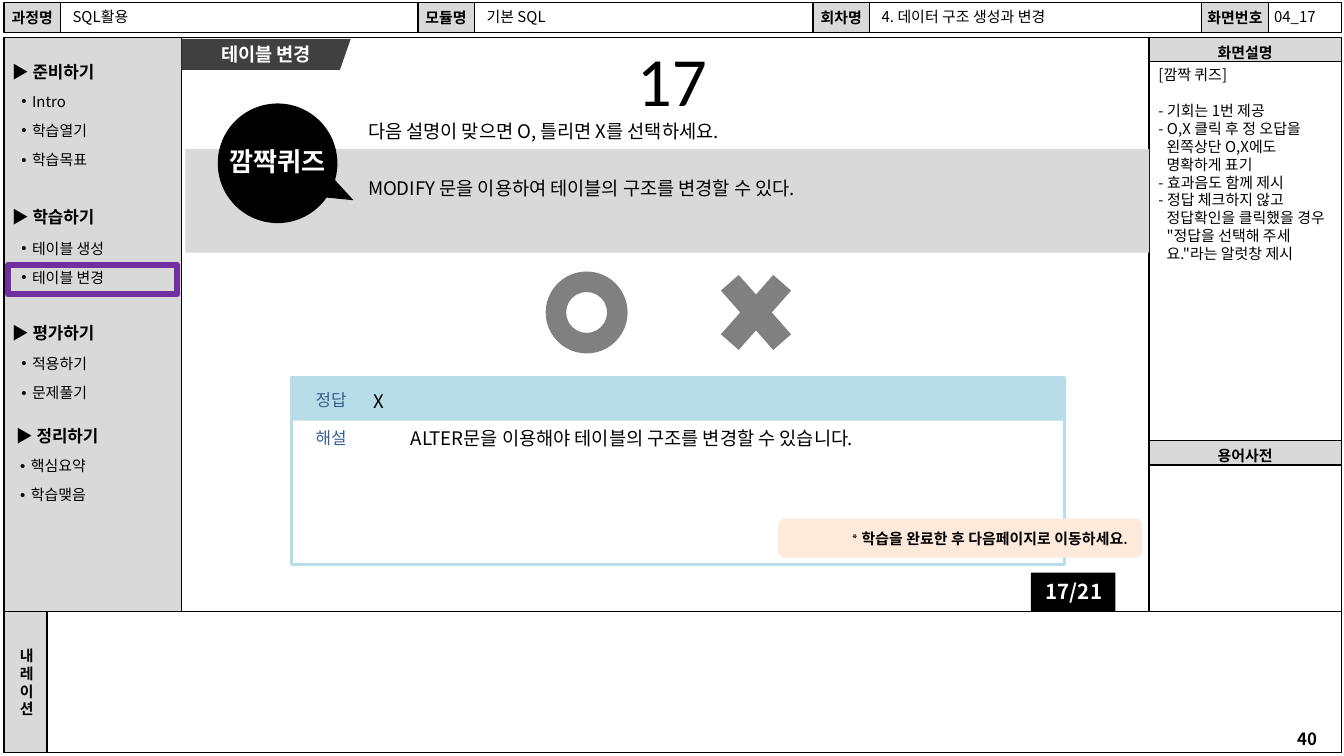
from pptx import Presentation
from pptx.dml.color import RGBColor
from pptx.enum.shapes import MSO_SHAPE as Kind
from pptx.enum.text import MSO_ANCHOR as Anchor, PP_ALIGN as Align
from pptx.oxml.ns import qn
from pptx.util import Inches, Pt
from lxml.etree import SubElement

# A 16:9 slide on a square grid, 100 columns wide
WIDTH = Inches(10)
HEIGHT = WIDTH * 9 // 16
UNIT = WIDTH / 100
FONT = "Noto Sans CJK KR"
BLACK, WHITE, GREY, DARK = "000000", "FFFFFF", "D9D9D9", "404040"
MID, CYAN, BLUE, PURPLE, PEACH = "808080", "B7DEE8", "376092", "7030A0", "FDEADA"
ALIGNS = {"left": Align.LEFT, "center": Align.CENTER, "right": Align.RIGHT}


def color(value):
    return RGBColor.from_string(value)


def inside(box, left, top, width, height):
    """Area of the grid, counted from the top left corner of a box."""
    return box[0] + left, box[1] + top, width, height


def to_emu(area):
    return [round(number * UNIT) for number in area]


def paint(shape, fill, line, weight):
    shape.shadow.inherit = False
    if fill:
        shape.fill.solid()
        shape.fill.fore_color.rgb = color(fill)
    else:
        shape.fill.background()
    if line:
        shape.line.color.rgb = color(line)
        shape.line.width = Pt(weight)
    else:
        shape.line.fill.background()
    return shape


def draw(page, area, fill=None, line=None, weight=0.75, kind=Kind.RECTANGLE):
    return paint(page.shapes.add_shape(kind, *to_emu(area)), fill, line, weight)


def outline(page, points, fill):
    corners = [to_emu(point) for point in points]
    builder = page.shapes.build_freeform(*corners[0])
    builder.add_line_segments(corners[1:], close=True)
    return paint(builder.convert_to_shape(), fill, None, 0)


def set_indent(para, indent, hang, bullet):
    props = para._p.get_or_add_pPr()
    props.set("marL", str(round(indent * UNIT)))
    props.set("indent", str(round(-hang * UNIT)))
    if bullet:
        SubElement(props, qn("a:buFont")).set("typeface", "Arial")
        SubElement(props, qn("a:buChar")).set("char", bullet)


def write(page, place, lines, size=8, bold=False, ink=BLACK, font=FONT, align="left",
          anchor=Anchor.TOP, insets=(1, 0.5, 1, 0.5), wrap=True, bullet=None,
          indent=0, hang=0, gap=0, spacing=None):
    """Write lines into a shape, or into a new text box when given an area.

    A line is a text, or a text with its own indent, hang and gap.
    """
    if isinstance(place, tuple):
        place = page.shapes.add_textbox(*to_emu(place))
    frame = place.text_frame
    frame.word_wrap, frame.vertical_anchor = wrap, anchor
    (frame.margin_left, frame.margin_top,
     frame.margin_right, frame.margin_bottom) = to_emu(insets)
    for number, line in enumerate([lines] if isinstance(lines, str) else lines):
        text, own = line if isinstance(line, tuple) else (line, {})
        para = frame.paragraphs[0] if number == 0 else frame.add_paragraph()
        para.alignment = ALIGNS[align]
        if spacing:
            para.line_spacing = spacing
        if number:
            para.space_before = Pt(own.get("gap", gap))
        if own.get("indent", indent):
            set_indent(para, own.get("indent", indent), own.get("hang", hang), bullet)
        span = para.add_run()
        span.text = text
        span.font.name, span.font.size, span.font.bold = font, Pt(size), bold
        span.font.color.rgb = color(ink)
        SubElement(span._r.get_or_add_rPr(), qn("a:ea")).set("typeface", FONT)


def label(page, area, lines, **style):
    write(page, draw(page, area, GREY, BLACK), lines, bold=True, align="center",
          anchor=Anchor.MIDDLE, wrap=False, **style)


def header(page, box):
    names = ["과정명", "모듈명", "회차명", "화면번호"]
    values = ["SQL활용", "기본 SQL", "4. 데이터 구조 생성과 변경", "04_17"]
    starts, middles = [0, 30.8, 60.2, 89.1], [4.2, 35, 64.4, 94.1]
    ends = starts[1:] + [box[2]]
    for name, value, start, middle, end in zip(names, values, starts, middles, ends):
        label(page, inside(box, start, 0, middle - start, box[3]), name)
        cell = draw(page, inside(box, middle, 0, end - middle, box[3]), WHITE, BLACK)
        pad = 0.4 if value == values[-1] else 0.9
        write(page, cell, value, anchor=Anchor.MIDDLE, wrap=False,
              insets=(pad, 0, 0, 0.1))


def sidebar(page, box):
    draw(page, box, GREY, BLACK)
    # Heading, its place, and the items below it with theirs
    menu = [
        ("▶ 준비하기", -0.4, 1.3, ["Intro", "학습열기", "학습목표"], 4.1),
        ("▶ 학습하기", -0.4, 12.1, ["테이블 생성", "테이블 변경"], 15),
        ("▶ 평가하기", -0.4, 20.7, ["적용하기", "문제풀기"], 23.6),
        ("▶ 정리하기", -0.1, 28.4, ["핵심요약", "학습맺음"], 31.2),
    ]
    for heading, left, top, items, below in menu:
        write(page, inside(box, left, top, 11.5, 2.5), heading, size=9, bold=True)
        pad = 1 if left < -0.2 else 0.9
        write(page, inside(box, 0.3, below, 12.9, 2.1 * len(items)), items,
              insets=(pad, 0, 0, 0), bullet="•", indent=0.8, hang=0.8, gap=6)
    # Current lesson
    draw(page, inside(box, 0.3, 16.9, 12.6, 2.2), None, PURPLE, 3)


def notes_panel(page, box):
    draw(page, box, WHITE, BLACK)
    for name, top in (("화면설명", 0), ("용어사전", 30)):
        label(page, inside(box, 0, top, box[2], 1.8), name, spacing=1.3)
    lines = [
        ("[깜짝 퀴즈]", {"indent": 0}),
        ("- 기회는 1번 제공", {"gap": 9.6}),
        "- O,X 클릭 후 정 오답을 왼쪽상단 O,X에도 명확하게 표기",
        "- 효과음도 함께 제시",
        "- 정답 체크하지 않고 정답확인을 클릭했을 경우",
        ("\"정답을 선택해 주세요.\"라는 알럿창 제시", {"hang": 0}),
    ]
    write(page, inside(box, -0.2, 1.7, 14.7, 28.4), lines, indent=0.6, hang=0.6,
          insets=(0.9, 0.4, 0.9, 0.4))


def question(page, box):
    left, top = box[:2]
    # Section tab
    tab = outline(page, [(left, top), (left + 12.6, top), (left + 11.8, top + 2.3),
                         (left, top + 2.3)], DARK)
    write(page, tab, "테이블 변경", size=10, bold=True, ink=WHITE, align="center",
          anchor=Anchor.MIDDLE)
    # Question band and speech bubble
    draw(page, inside(box, 0.3, 8.2, 71.7, 7.7), GREY)
    draw(page, inside(box, 2.7, 4.8, 8.9, 8.9), BLACK, kind=Kind.OVAL)
    outline(page, [(left + 10.6, top + 9.6), (left + 12.8, top + 12),
                   (left + 8.7, top + 11.6)], BLACK)
    write(page, inside(box, 2.6, 7.4, 9.2, 3.4), "깜짝퀴즈", size=14, bold=True,
          ink=WHITE, wrap=False)
    write(page, inside(box, 12.9, 5.5, 50, 2.7), "다음 설명이 맞으면 O, 틀리면 X를 선택하세요.",
          size=10)
    write(page, inside(box, 12.9, 9.8, 59.1, 2.7),
          "MODIFY 문을 이용하여 테이블의 구조를 변경할 수 있다.", size=10)
    # O and X choices
    draw(page, inside(box, 27.1, 17.3, 6.1, 6.1), MID, kind=Kind.DONUT)
    draw(page, inside(box, 39, 16.1, 7.5, 8.5), MID, kind=Kind.MATH_MULTIPLY)
    # Page title
    write(page, inside(box, -8.5, -0.6, 90, 9.4), "17", size=37, font="Calibri",
          align="center", anchor=Anchor.TOP)


def answer(page, box):
    draw(page, inside(box, 0, 0, box[2], 3.2), CYAN)
    draw(page, box, None, CYAN, 1.5)
    rows = [("정답", "X", 0.4, 0), ("해설", "ALTER문을 이용해야 테이블의 구조를 변경할 수 있습니다.", 3.2, 2.8)]
    for name, text, top, indent in rows:
        write(page, inside(box, 0.8, top, 4.5, 2.5), name, size=9, ink=BLUE, wrap=False)
        write(page, inside(box, 5.1, top, 50, 2.7), text, size=10, indent=indent)
    # Hint to go on, and page count
    hint = draw(page, inside(box, 36.2, 10.5, 27.1, 2.9), PEACH, kind=Kind.ROUNDED_RECTANGLE)
    write(page, hint, "* 학습을 완료한 후 다음페이지로 이동하세요.", bold=True,
          font="Cambria", align="right", anchor=Anchor.MIDDLE)
    count = draw(page, inside(box, 55, 14.5, 6.3, 2.9), BLACK)
    write(page, count, "17/21", size=11, bold=True, ink=WHITE, align="right", wrap=False)


def narration(page, box):
    draw(page, box, WHITE, BLACK)
    label(page, inside(box, 0, 0, 3.2, box[3]), list("내레이션"), insets=(1, 0.5, 0.8, 0.5))
    write(page, inside(box, 94.6, 8.2, 4.7, 2.5), "40", size=9, bold=True, align="center")


def main():
    deck = Presentation()
    deck.slide_width, deck.slide_height = WIDTH, HEIGHT
    page = deck.slides.add_slide(deck.slide_layouts[6])
    draw(page, (0.3, 2.8, 85.2, 42.7), WHITE, BLACK)
    sidebar(page, (0.3, 2.8, 13.2, 42.7))
    notes_panel(page, (85.5, 2.8, 14.3, 42.7))
    narration(page, (0.3, 45.5, 99.5, 10.5))
    header(page, (0.3, 0.2, 99.5, 2.2))
    question(page, (13.5, 2.9, 72, 42.6))
    answer(page, (21.7, 28.1, 57.5, 13.9))
    deck.save("out.pptx")


if __name__ == "__main__":
    main()
